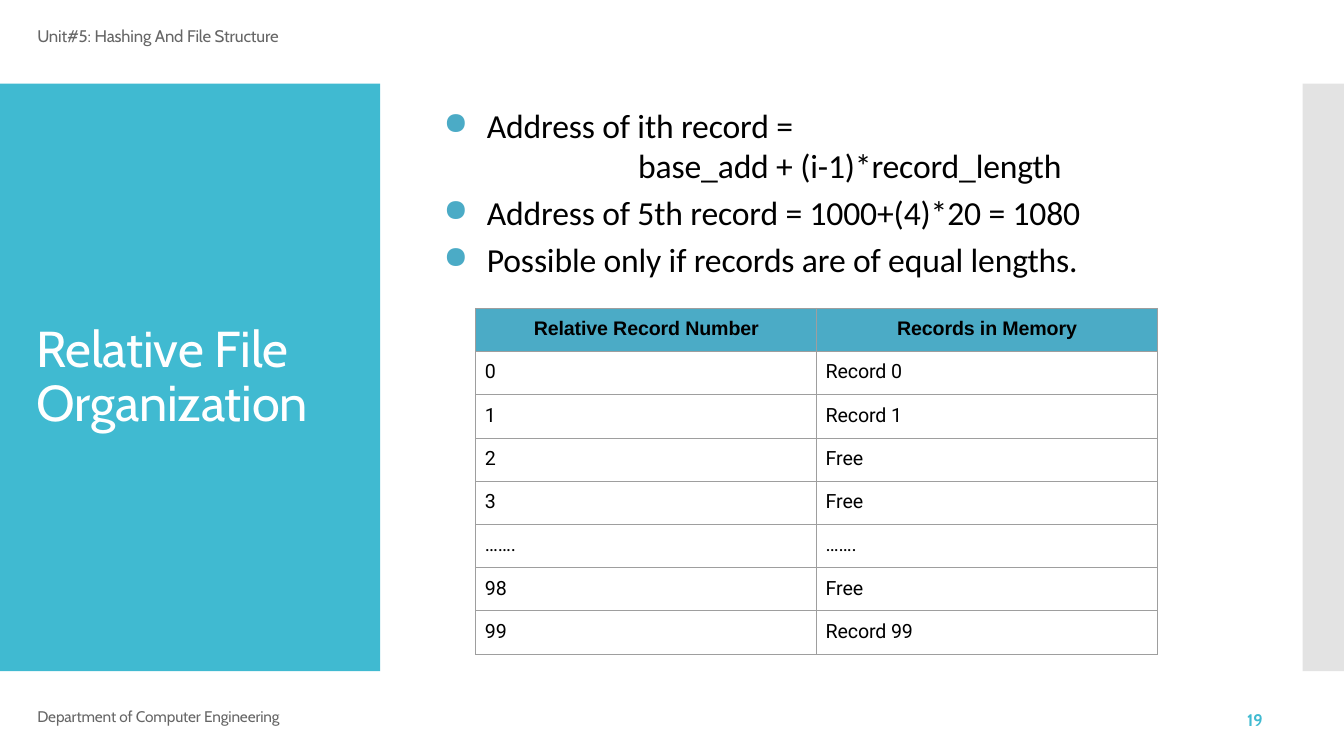
from lxml.etree import SubElement
from pptx import Presentation
from pptx.dml.color import RGBColor
from pptx.enum.shapes import MSO_SHAPE
from pptx.enum.text import MSO_ANCHOR, MSO_AUTO_SIZE, PP_ALIGN
from pptx.oxml import parse_xml
from pptx.oxml.ns import nsdecls, qn
from pptx.util import Inches, Pt

COLORS = {"panel": "40BAD1", "strip": "C8C8C8", "accent": "4BABC6", "grid": "9E9E9E",
          "gray": "666666", "white": "FFFFFF", "black": "000000"}
TITLE = "Relative File Organization"
UNIT = "Unit#5: Hashing And File Structure"
DEPARTMENT = "Department of Computer Engineering"
PAGE = "19"
POINTS = [
    ("Address of ith record =", True, 0),
    ("base_add + (i-1)*record_length", False, 0.1),
    ("Address of 5th record = 1000+(4)*20 = 1080", True, 4.5),
    ("Possible only if records are of equal lengths.", True, 5),
]
ROWS = [
    ("Relative Record Number", "Records in Memory"),
    ("0", "Record 0"),
    ("1", "Record 1"),
    ("2", "Free"),
    ("3", "Free"),
    ("…….", "……."),
    ("98", "Free"),
    ("99", "Record 99"),
]


def rgb(name):
    return RGBColor.from_string(COLORS[name])


def add_run(p, text, font, size, color, bold=False, spc=-10):
    r = p.add_run()
    r.text = text
    r.font.name, r.font.size, r.font.bold = font, Pt(size), bold
    r.font.color.rgb = rgb(color)
    r._r.get_or_add_rPr().set("spc", str(spc))


def set_frame(sp, left, top, width, height, inset=0):
    sp.left, sp.top, sp.width, sp.height = (Inches(v) for v in (left, top, width, height))
    tf = sp.text_frame
    tf.word_wrap, tf.auto_size = True, MSO_AUTO_SIZE.NONE
    tf.vertical_anchor = MSO_ANCHOR.TOP
    tf.margin_left = tf.margin_right = tf.margin_bottom = 0
    tf.margin_top = Inches(inset)
    return tf


def add_text(s, box, inset=0):
    return set_frame(s.shapes.add_textbox(0, 0, 0, 0), *box, inset)


def add_panel(s, left, width, color, alpha=100):
    sp = s.shapes.add_shape(MSO_SHAPE.RECTANGLE, Inches(left), Inches(0.83),
                            Inches(width), Inches(5.83))
    sp.shadow.inherit = False
    sp.fill.solid()
    sp.fill.fore_color.rgb = rgb(color)
    sp.line.fill.background()
    if alpha < 100:
        clr = sp._element.spPr.find(qn("a:solidFill"))[0]
        SubElement(clr, qn("a:alpha")).set("val", str(alpha * 1000))
    s.shapes._spTree.insert(2, sp._element)


def set_indent(p, left, bullet):
    pPr = p._p.get_or_add_pPr()
    pPr.set("marL", str(Inches(left)))
    pPr.set("indent", str(Inches(-0.43 if bullet else 0)))
    if bullet:
        clr = SubElement(pPr, qn("a:buClr"))
        SubElement(clr, qn("a:srgbClr")).set("val", COLORS["accent"])
        SubElement(pPr, qn("a:buSzPct")).set("val", "92000")
        SubElement(pPr, qn("a:buChar")).set("char", "●")


def set_borders(cell):
    tcPr = cell._tc.get_or_add_tcPr()
    for i, side in enumerate(("lnL", "lnR", "lnT", "lnB")):
        tcPr.insert(i, parse_xml(
            f'<a:{side} {nsdecls("a")} w="{Pt(0.75)}"><a:solidFill>'
            f'<a:srgbClr val="{COLORS["grid"]}"/></a:solidFill></a:{side}>'))


def add_records(s):
    table = s.shapes.add_table(len(ROWS), 2, Inches(4.72), Inches(3.06),
                               Inches(6.76), Inches(3.43)).table
    table.horz_banding = False
    for i, row in enumerate(ROWS):
        header = i == 0
        for j, text in enumerate(row):
            cell = table.cell(i, j)
            cell.margin_left = 0 if header else Inches(0.09)
            cell.margin_right = cell.margin_bottom = 0
            cell.margin_top = Inches(0.09)
            if header:
                cell.fill.solid()
                cell.fill.fore_color.rgb = rgb("accent")
            else:
                cell.fill.background()
            set_borders(cell)
            p = cell.text_frame.paragraphs[0]
            p.alignment = PP_ALIGN.CENTER if header else PP_ALIGN.LEFT
            add_run(p, text, "Arial" if header else "Roboto", 14, "black", header)


def main():
    prs = Presentation()
    prs.slide_width, prs.slide_height = Inches(13.33), Inches(7.5)
    s = prs.slides.add_slide(prs.slide_layouts[5])
    add_panel(s, 0, 3.77, "panel")
    add_panel(s, 12.92, 0.41, "strip", 50)

    p = set_frame(s.shapes.title, 0.36, 3.12, 2.9, 1.17, 0.08).paragraphs[0]
    p.alignment, p.line_spacing = PP_ALIGN.LEFT, Pt(39)
    add_run(p, TITLE, "Cabin", 36, "white")

    p = add_text(s, (0.37, 0.25, 2.4, 0.45), 0.01).paragraphs[0]
    add_run(p, UNIT, "Cabin", 12, "gray")
    p = add_text(s, (0.37, 7.04, 2.6, 0.18)).paragraphs[0]
    p.line_spacing = Pt(11.4)
    add_run(p, DEPARTMENT, "Cabin", 11, "gray")
    p = add_text(s, (12.37, 7.07, 0.26, 0.19)).paragraphs[0]
    p.line_spacing = Pt(12.3)
    add_run(p, PAGE, "Cabin", 12, "panel", True, 0)

    tf = add_text(s, (4.38, 1.03, 6.6, 1.76), 0.01)
    for i, (text, bullet, before) in enumerate(POINTS):
        p = tf.add_paragraph() if i else tf.paragraphs[0]
        p.space_before = Pt(before)
        set_indent(p, 0.45 if bullet else 1.95, bullet)
        add_run(p, text, "Calibri", 24, "black")

    add_records(s)
    prs.save("out.pptx")


if __name__ == "__main__":
    main()
